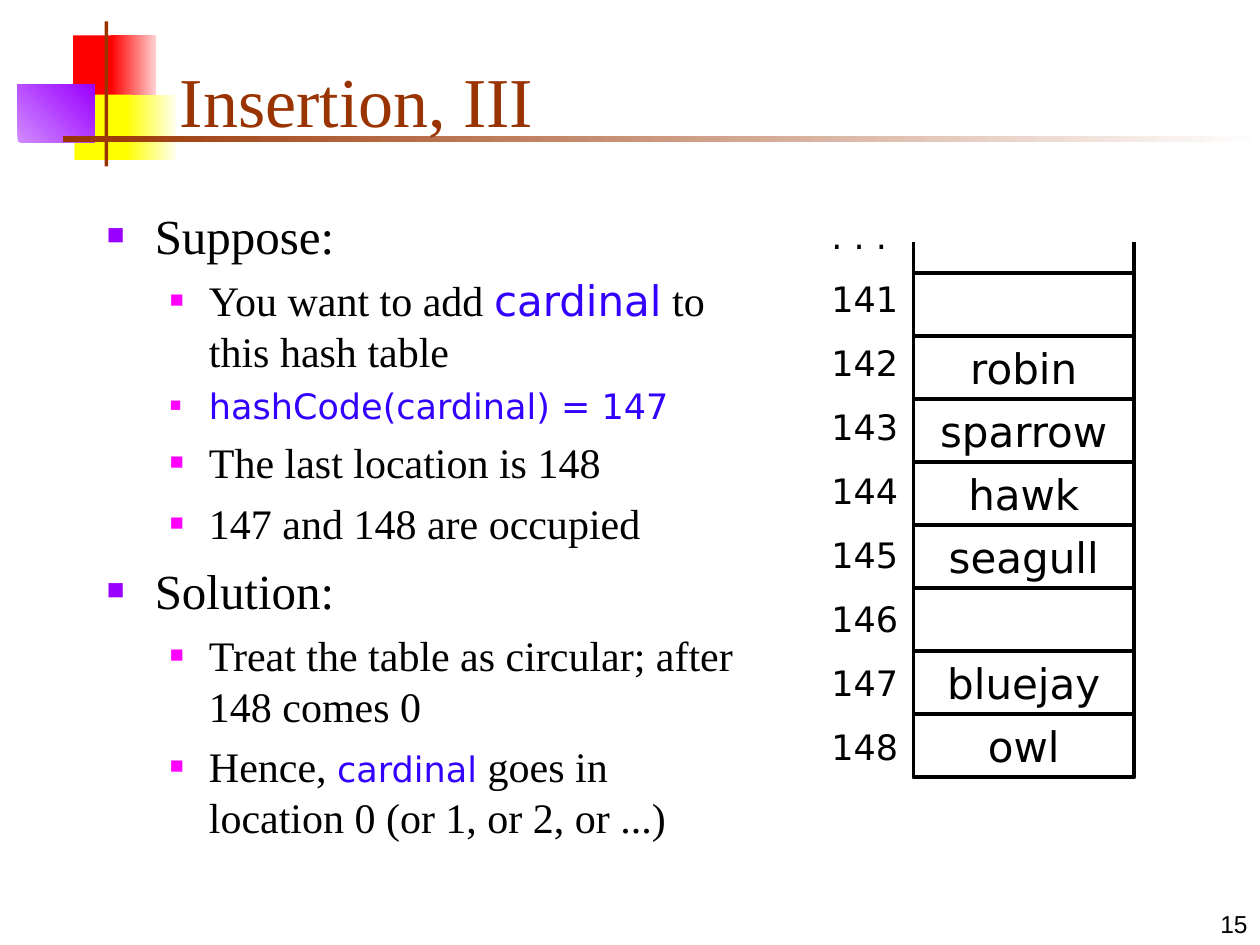
from typing import NamedTuple, Optional

from lxml import etree
from pptx import Presentation
from pptx.dml.color import RGBColor
from pptx.enum.shapes import MSO_CONNECTOR, MSO_SHAPE
from pptx.enum.text import MSO_ANCHOR, PP_ALIGN
from pptx.oxml.ns import qn
from pptx.util import Inches, Pt

RECTANGLE = MSO_SHAPE.RECTANGLE
PROCESS = MSO_SHAPE.FLOWCHART_PROCESS
STRAIGHT = MSO_CONNECTOR.STRAIGHT
LEFT, CENTER, RIGHT = PP_ALIGN.LEFT, PP_ALIGN.CENTER, PP_ALIGN.RIGHT
TOP, MIDDLE, BOTTOM = MSO_ANCHOR.TOP, MSO_ANCHOR.MIDDLE, MSO_ANCHOR.BOTTOM

SERIF, SANS, NUMBER_FONT = "Times New Roman", "DejaVu Sans", "Arial"
BLACK = RGBColor(0x00, 0x00, 0x00)
WHITE = RGBColor(0xFF, 0xFF, 0xFF)
BROWN = RGBColor(0x99, 0x33, 0x00)
RED = RGBColor(0xFF, 0x00, 0x00)
PINK = RGBColor(0xFF, 0xD1, 0xD1)
YELLOW = RGBColor(0xFF, 0xFF, 0x00)
CREAM = RGBColor(0xFF, 0xFF, 0xF0)
VIOLET = RGBColor(0x99, 0x00, 0xFF)
LILAC = RGBColor(0xD1, 0x8B, 0xFF)
MAGENTA = RGBColor(0xFF, 0x00, 0xFF)
CODE_BLUE = RGBColor(0x33, 0x00, 0xFF)

TABLE_LEFT, TABLE_TOP, CELL_WIDTH, CELL_HEIGHT = 7.25, 2.17, 1.75, 0.5
OPEN_TOP = 1.92
RULE_WIDTH = 2.25


class Block(NamedTuple):
    left: float
    top: float
    width: float
    height: float
    color: RGBColor
    fade_to: Optional[RGBColor] = None
    angle: float = 0


class Bullet(NamedTuple):
    level: int
    indent: float
    hanging: float
    color: RGBColor
    percent: int


class Run(NamedTuple):
    text: str
    size: float
    font: str = SERIF
    color: RGBColor = BLACK


class Paragraph(NamedTuple):
    runs: list[Run]
    space_before: float = 0
    bullet: Optional[Bullet] = None


MAIN = Bullet(0, 0.38, 0.38, VIOLET, 60)
SUB = Bullet(1, 0.81, 0.31, MAGENTA, 55)

DECORATION = [
    Block(0.58, 0.28, 0.35, 0.52, RED),
    Block(0.88, 0.28, 0.36, 0.52, RED, PINK),
    Block(0.59, 0.75, 0.46, 0.52, YELLOW),
    Block(1.0, 0.75, 0.4, 0.52, YELLOW, CREAM),
    Block(0.14, 0.67, 0.61, 0.46, LILAC, VIOLET, 45),
    Block(0.83, 0.17, 0.03, 1.15, BROWN),
    Block(0.5, 1.08, 9.5, 0.05, BROWN, WHITE),
]

ENTRIES = {141: "", 142: "robin", 143: "sparrow", 144: "hawk",
           145: "seagull", 146: "", 147: "bluejay", 148: "owl"}


def heading(text: str) -> Paragraph:
    return Paragraph([Run(text, 28)], 7, MAIN)


def point(*runs: Run, space_before: float = 6) -> Paragraph:
    return Paragraph(list(runs), space_before, SUB)


def prose(text: str) -> Run:
    return Run(text, 24)


def code(text: str, size: float = 20) -> Run:
    return Run(text, size, SANS, CODE_BLUE)


BODY = [
    heading("Suppose:"),
    point(prose("You want to add "), code("cardinal", 24), prose(" to this hash table")),
    point(code("hashCode(cardinal) = 147"), space_before=5),
    point(prose("The last location is 148")),
    point(prose("147 and 148 are occupied")),
    heading("Solution:"),
    point(prose("Treat the table as circular; after 148 comes 0")),
    point(prose("Hence, "), code("cardinal"),
          prose(" goes in location 0 (or 1, or 2, or ...)")),
]


def set_bullet(paragraph, bullet: Bullet) -> None:
    paragraph.level = bullet.level
    properties = paragraph._p.get_or_add_pPr()
    properties.set("marL", str(Inches(bullet.indent)))
    properties.set("indent", str(-Inches(bullet.hanging)))
    color = etree.SubElement(properties, qn("a:buClr"))
    etree.SubElement(color, qn("a:srgbClr"), val=str(bullet.color))
    etree.SubElement(properties, qn("a:buSzPct"), val=str(bullet.percent * 1000))
    etree.SubElement(properties, qn("a:buFont"), typeface=SERIF)
    etree.SubElement(properties, qn("a:buChar"), char="■")


def write_text(shape, paragraphs: list[Paragraph], *, align=LEFT, anchor=TOP,
               wrap: bool = True) -> None:
    frame = shape.text_frame
    frame.word_wrap = wrap
    frame.vertical_anchor = anchor
    for index, content in enumerate(paragraphs):
        paragraph = frame.add_paragraph() if index else frame.paragraphs[0]
        paragraph.alignment = align
        paragraph.space_before = Pt(content.space_before)
        if content.bullet:
            set_bullet(paragraph, content.bullet)
        for part in content.runs:
            run = paragraph.add_run()
            run.text = part.text
            run.font.size = Pt(part.size)
            run.font.name = part.font
            run.font.color.rgb = part.color


def add_text_box(slide, left: float, top: float, width: float, height: float):
    return slide.shapes.add_textbox(Inches(left), Inches(top), Inches(width), Inches(height))


def add_block(slide, block: Block) -> None:
    shape = slide.shapes.add_shape(RECTANGLE, Inches(block.left), Inches(block.top),
                                   Inches(block.width), Inches(block.height))
    shape.shadow.inherit = False
    shape.line.fill.background()
    if block.fade_to is None:
        shape.fill.solid()
        shape.fill.fore_color.rgb = block.color
        return
    shape.fill.gradient()
    shape.fill.gradient_angle = block.angle
    for stop, color, position in zip(shape.fill.gradient_stops,
                                     (block.color, block.fade_to), (0, 1)):
        stop.color.rgb = color
        stop.position = position


def add_cell(slide, top: float, entry: str) -> None:
    cell = slide.shapes.add_shape(PROCESS, Inches(TABLE_LEFT), Inches(top),
                                  Inches(CELL_WIDTH), Inches(CELL_HEIGHT))
    cell.shadow.inherit = False
    cell.fill.background()
    cell.line.color.rgb = BLACK
    cell.line.width = Pt(RULE_WIDTH)
    if entry:
        write_text(cell, [Paragraph([Run(entry, 24, SANS)])],
                   align=CENTER, anchor=MIDDLE, wrap=False)


def add_side(slide, x: float, bottom: float) -> None:
    side = slide.shapes.add_connector(STRAIGHT, Inches(x), Inches(bottom),
                                      Inches(x), Inches(OPEN_TOP))
    side.line.color.rgb = BLACK
    side.line.width = Pt(RULE_WIDTH)
    etree.SubElement(side._element.spPr, qn("a:effectLst"))


def add_hash_table(slide) -> None:
    for row, entry in enumerate(ENTRIES.values()):
        add_cell(slide, TABLE_TOP + row * CELL_HEIGHT, entry)
    labels = [". . .", *map(str, ENTRIES)]
    write_text(add_text_box(slide, 6.5, 1.65, 0.75, 5),
               [Paragraph([Run(label, 20, SANS)], 12.5) for label in labels])
    for x in (TABLE_LEFT, TABLE_LEFT + CELL_WIDTH):
        add_side(slide, x, TABLE_TOP + len(ENTRIES) * CELL_HEIGHT)


def main() -> None:
    deck = Presentation()
    deck.slide_width, deck.slide_height = Inches(10), Inches(7.5)
    slide = deck.slides.add_slide(deck.slide_layouts[6])
    for block in DECORATION:
        add_block(slide, block)
    write_text(add_text_box(slide, 7.92, 7, 2.08, 0.5),
               [Paragraph([Run("15", 14, NUMBER_FONT)])], align=RIGHT, anchor=BOTTOM)
    write_text(add_text_box(slide, 1.33, 0.25, 8.52, 0.92),
               [Paragraph([Run("Insertion, III", 40, SERIF, BROWN)])], anchor=BOTTOM)
    write_text(add_text_box(slide, 0.75, 1.58, 5.25, 5.42), BODY)
    add_hash_table(slide)
    deck.save("out.pptx")


if __name__ == "__main__":
    main()
